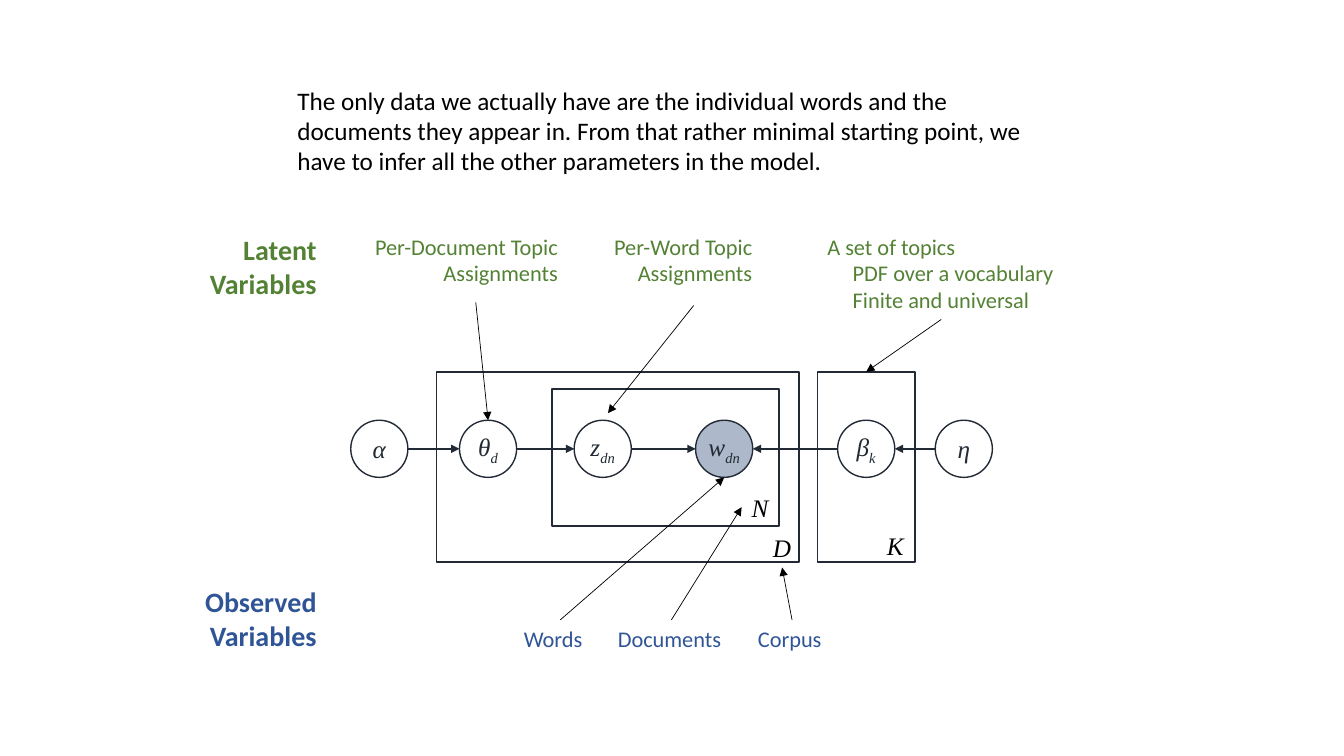
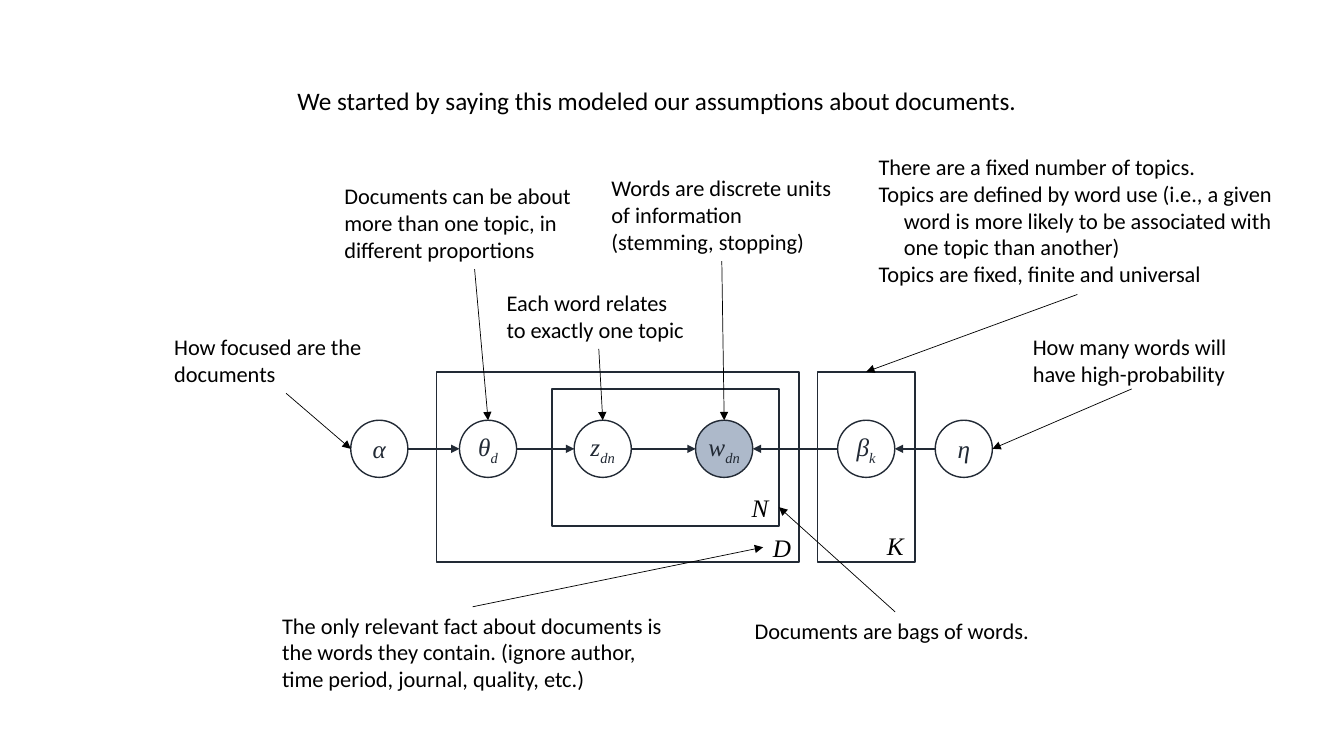
import pptx
import pptx.dml.color
import pptx.enum.shapes
import pptx.enum.text
import pptx.oxml.ns
import pptx.util
from lxml import etree

Cm = pptx.util.Cm
Pt = pptx.util.Pt
rgb = pptx.dml.color.RGBColor.from_string
qn = pptx.oxml.ns.qn
SHAPE = pptx.enum.shapes.MSO_SHAPE
ANCHOR = pptx.enum.text.MSO_ANCHOR
AUTO = pptx.enum.text.MSO_AUTO_SIZE
LEFT = pptx.enum.text.PP_ALIGN.LEFT
CENTER = pptx.enum.text.PP_ALIGN.CENTER
RIGHT = pptx.enum.text.PP_ALIGN.RIGHT

BLACK, INK, OBSERVED = "000000", "222A35", "ADB9CA"
GREEN, BLUE = "548235", "2F5597"
SANS, SERIF = "Calibri", "Times New Roman"

# Label styles: size, colour, bold, alignment, hanging indent
STYLES = {
    "latent head": (20, GREEN, True, RIGHT, 0),
    "observed head": (20, BLUE, True, RIGHT, 0),
    "latent": (16, GREEN, False, RIGHT, 0),
    "latent list": (16, GREEN, False, LEFT, 0.64),
    "observed": (16, BLUE, False, LEFT, 0),
    "plain": (16, BLACK, False, LEFT, 0),
    "plain list": (16, BLACK, False, LEFT, 0.64),
}

# Plate model, in centimetres
AXIS, RADIUS = 11.31, 0.72
TOP, BOTTOM = AXIS - RADIUS, AXIS + RADIUS
PLATE_TOP = 9.37
NODES = {"α": (9.56, ""), "θ": (12.3, "d"), "z": (15.19, "dn"),
         "w": (18.25, "dn"), "β": (21.83, "k"), "η": (24.29, "")}
X = {name: x for name, (x, sub) in NODES.items()}
LINKS = ["αθ", "θz", "zw", "βw", "ηβ"]
PLATES = [  # letter, plate box, letter position
    ("N", (13.92, 9.8, 5.72, 3.45), (18.69, 12.27)),
    ("D", (11, PLATE_TOP, 9.14, 4.8), (19.23, 13.28)),
    ("K", (20.6, PLATE_TOP, 2.46, 4.8), (22.1, 13.23)),
]

# Each slide: title, title height, labels (style, box, paragraphs), pointers
SLIDES = [
    ("The only data we actually have are the individual words and the documents "
     "they appear in. From that rather minimal starting point, we have to infer "
     "all the other parameters in the model.", 2.79,
     [("latent head", (3.48, 5.74, 4.75, 1.96), ["Latent Variables"]),
      ("latent", (9.09, 5.74, 5.22, 1.63), ["Per-Document Topic Assignments"]),
      ("latent", (14.99, 5.74, 4.22, 1.63), ["Per-Word Topic Assignments"]),
      ("latent list", (20.6, 5.74, 6.25, 2.31),
       ["A set of topics", "PDF over a vocabulary", "Finite and universal"]),
      ("observed head", (3.48, 14.61, 4.75, 1.96), ["Observed Variables"]),
      ("observed", (12.95, 15.62, 2.29, 0.94), ["Words"]),
      ("observed", (15.32, 15.62, 3.2, 0.94), ["Documents"]),
      ("observed", (18.85, 15.62, 2.26, 0.94), ["Corpus"])],
     [(11.99, 7.62, X["θ"], TOP),
      (17.48, 7.7, 15.32, 10.41),
      (23.72, 8.05, X["β"], PLATE_TOP),
      (14.12, 15.62, X["w"], BOTTOM),
      (16.92, 15.62, 18.69, 12.78),
      (19.96, 15.62, 19.71, 14.3)]),
    ("We started by saying this modeled our assumptions about documents.", 1.47,
     [("plain", (4.14, 8.28, 6.12, 1.63), ["How focused are the documents"]),
      ("plain", (8.43, 4.47, 7.09, 2.31),
       ["Documents can be about more than one topic, in different proportions"]),
      ("plain", (12.52, 7.16, 5.11, 1.63), ["Each word relates to exactly one topic"]),
      ("plain", (15.16, 4.27, 6.07, 2.31),
       ["Words are discrete units of information (stemming, stopping)"]),
      ("plain list", (21.89, 3.73, 10.46, 3.68),
       ["There are a fixed number of topics.",
        "Topics are defined by word use (i.e., a given word is more likely to be "
        "associated with one topic than another)",
        "Topics are fixed, finite and universal"]),
      ("plain", (25.78, 8.28, 6.12, 1.63), ["How many words will have high-probability"]),
      ("plain", (6.86, 15.29, 10.08, 2.31),
       ["The only relevant fact about documents is the words they contain. "
        "(ignore author, time period, journal, quality, etc.)"]),
      ("plain", (18.77, 15.42, 7.52, 0.94), ["Documents are bags of words."])],
     [(7.21, 9.91, X["α"] - RADIUS, AXIS),
      (11.96, 6.78, X["θ"], TOP),
      (15.09, 8.79, X["z"], TOP),
      (18.19, 6.58, X["w"], TOP),
      (27.15, 7.42, X["β"], PLATE_TOP),
      (28.52, 9.8, X["η"] + RADIUS, AXIS),
      (11.91, 15.29, 19.23, 13.79),
      (22.56, 15.42, 19.63, 12.78)]),
]


def add_run(p, text, size, color, font=SANS, bold=False, italic=False):
    r = p.add_run()
    r.text = text
    r.font.name, r.font.size = font, Pt(size)
    r.font.bold, r.font.italic = bold, italic
    r.font.color.rgb = rgb(color)
    return r


def add_arrow(s, x1, y1, x2, y2, color, width):
    c = s.shapes.add_connector(pptx.enum.shapes.MSO_CONNECTOR.STRAIGHT,
                               Cm(x1), Cm(y1), Cm(x2), Cm(y2))
    c.line.color.rgb = rgb(color)
    c.line.width = Pt(width)
    etree.SubElement(c.line._get_or_add_ln(), qn("a:tailEnd"), type="triangle")
    etree.SubElement(c._element.spPr, qn("a:effectLst"))


prs = pptx.Presentation()
prs.slide_width, prs.slide_height = Cm(33.87), Cm(19.05)

for title, title_height, labels, pointers in SLIDES:
    s = prs.slides.add_slide(prs.slide_layouts[5])
    sp = s.shapes.title
    sp.left, sp.top, sp.width, sp.height = Cm(7.24), Cm(2.01), Cm(18.92), Cm(title_height)
    tf = sp.text_frame
    tf.auto_size = AUTO.NONE
    tf.vertical_anchor = ANCHOR.TOP
    p = tf.paragraphs[0]
    p.alignment = LEFT
    add_run(p, title, 18, BLACK)

    # Plates and their letters
    for letter, box, (x, y) in PLATES:
        sp = s.shapes.add_shape(SHAPE.RECTANGLE, *map(Cm, box))
        sp.shadow.inherit = False
        sp.fill.background()
        sp.line.color.rgb = rgb(INK)
        sp.line.width = Pt(1.25)
        tf = s.shapes.add_textbox(Cm(x), Cm(y), Cm(0.96), Cm(1.02)).text_frame
        tf.word_wrap = False
        tf.auto_size = AUTO.SHAPE_TO_FIT_TEXT
        add_run(tf.paragraphs[0], letter, 18, BLACK, SERIF, italic=True)

    # Variables and the links between them
    for name, (x, sub) in NODES.items():
        sp = s.shapes.add_shape(SHAPE.OVAL, Cm(x - RADIUS), Cm(TOP),
                                Cm(2 * RADIUS), Cm(2 * RADIUS))
        sp.shadow.inherit = False
        if name == "w":
            sp.fill.solid()
            sp.fill.fore_color.rgb = rgb(OBSERVED)
        else:
            sp.fill.background()
        sp.line.color.rgb = rgb(INK)
        sp.line.width = Pt(1)
        tf = sp.text_frame
        tf.margin_left = tf.margin_right = 0
        tf.vertical_anchor = ANCHOR.MIDDLE
        p = tf.paragraphs[0]
        p.alignment = CENTER
        add_run(p, name, 18, INK, SERIF, italic=True)
        if sub:
            r = add_run(p, sub, 18, INK, SERIF, italic=True)
            r.font._element.set("baseline", "-25000")
    for start, end in LINKS:
        gap = RADIUS if X[start] < X[end] else -RADIUS
        add_arrow(s, X[start] + gap, AXIS, X[end] - gap, AXIS, INK, 1.25)

    # Explanations
    for style, box, paragraphs in labels:
        size, color, bold, align, hang = STYLES[style]
        tf = s.shapes.add_textbox(*map(Cm, box)).text_frame
        tf.word_wrap = True
        tf.auto_size = AUTO.SHAPE_TO_FIT_TEXT
        for i, text in enumerate(paragraphs):
            p = tf.add_paragraph() if i else tf.paragraphs[0]
            p.alignment = align
            if hang:
                # Sub-points of the latent list sit wholly at the indent
                first = 0 if style == "latent list" and i else -hang
                pPr = p._p.get_or_add_pPr()
                pPr.set("marL", str(Cm(hang)))
                pPr.set("indent", str(Cm(first)))
            add_run(p, text, size, color, bold=bold)
    for pointer in pointers:
        add_arrow(s, *pointer, BLACK, 0.5)

prs.save("out.pptx")
